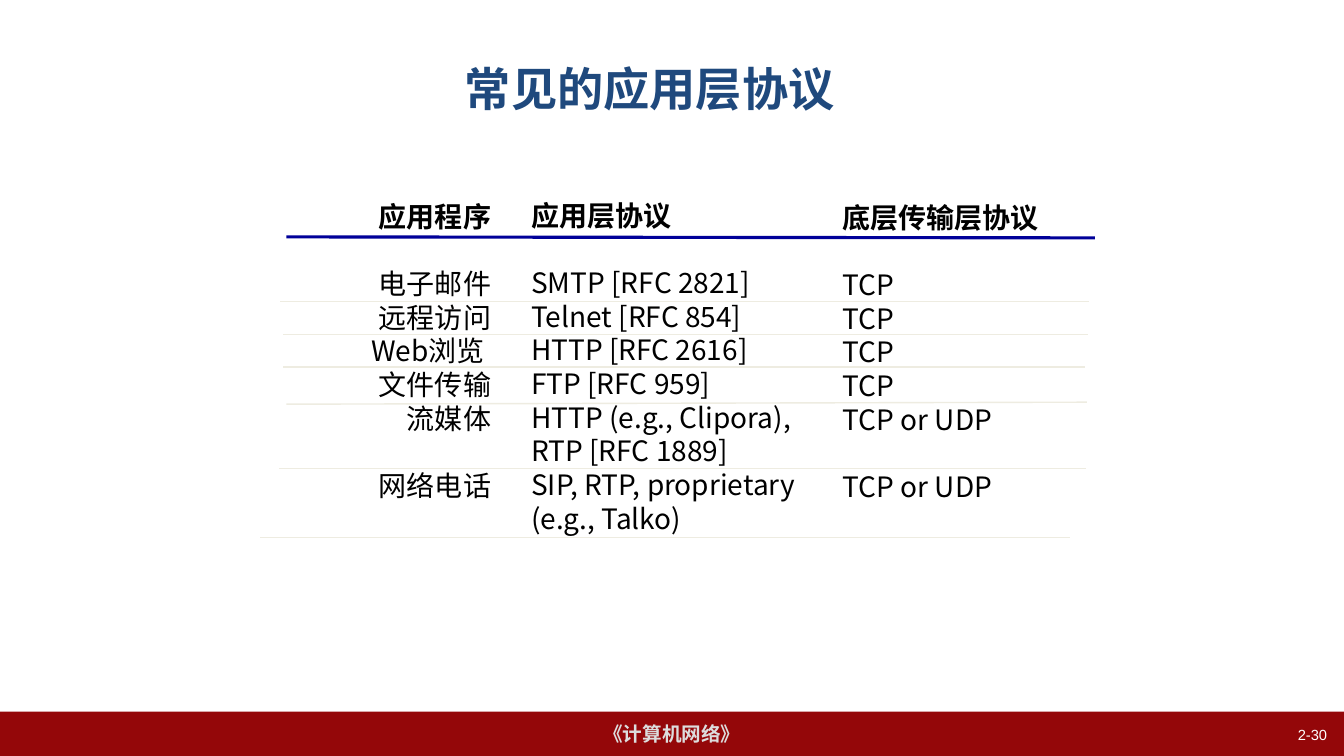
from lxml.etree import SubElement
from pptx import Presentation
from pptx.dml.color import RGBColor
from pptx.enum.shapes import MSO_CONNECTOR, MSO_SHAPE
from pptx.enum.text import MSO_ANCHOR, PP_ALIGN
from pptx.oxml.ns import qn
from pptx.util import Inches, Pt

WHITE = RGBColor(0xFF, 0xFF, 0xFF)
BLACK = RGBColor(0, 0, 0)
CRIMSON = RGBColor(0x94, 0x07, 0x09)
SILVER = RGBColor(0xDD, 0xDD, 0xDD)
TITLE_BLUE = RGBColor(0x1F, 0x49, 0x7D)
HEADER_BLUE = RGBColor(0, 0, 0x99)
IVORY = RGBColor(0xEE, 0xEC, 0xE1)
BODY_FONT = "Noto Sans CJK SC"
ROW_PITCH = Pt(24)

COLUMNS = [
    (3.51, 1.93, 1.46, 3.53, PP_ALIGN.RIGHT,
     ["应用程序", "电子邮件", "远程访问", "Web浏览 ", "文件传输", "流媒体", "网络电话"], [0, 5]),
    (5.17, 1.92, 3.11, 3.47, PP_ALIGN.LEFT,
     ["应用层协议", "SMTP [RFC 2821]", "Telnet [RFC 854]", "HTTP [RFC 2616]",
      "FTP [RFC 959]", "HTTP (e.g., Clipora), \vRTP [RFC 1889]",
      "SIP, RTP, proprietary", "(e.g., Talko)"], [0]),
    (8.26, 1.94, 2.87, 3.14, PP_ALIGN.LEFT,
     ["底层传输层协议", "TCP", "TCP", "TCP", "TCP", "TCP or UDP", "TCP or UDP"], [0, 5]),
]
ROW_RULES = [
    (2.78, 2.99, 10.8, 2.99),
    (2.81, 3.32, 10.79, 3.32),
    (2.81, 3.64, 10.76, 3.64),
    (2.84, 4.01, 10.78, 3.99),
    (2.77, 4.65, 10.77, 4.65),
    (2.58, 5.33, 10.61, 5.33),
]


class ProtocolSlide:
    def __init__(self, deck):
        self.slide = deck.slides.add_slide(deck.slide_layouts[5])
        self.shapes = self.slide.shapes

    def style(self, paragraph, align, size, color, bold=False, name="Arial"):
        paragraph.alignment = align
        for run in paragraph.runs:
            for key, value in {"size": Pt(size), "bold": bold, "name": name}.items():
                setattr(run.font, key, value)
            run.font.color.rgb = color
            if name == BODY_FONT:
                SubElement(run.font._element, qn("a:ea"), typeface=name)

    def title(self, text):
        heading = self.shapes.title
        box = {"left": 0.78, "top": 0.25, "width": 11.33, "height": 1.25}
        for key, value in box.items():
            setattr(heading, key, Inches(value))
        frame = heading.text_frame
        frame.text = text
        frame.vertical_anchor = MSO_ANCHOR.MIDDLE
        self.style(frame.paragraphs[0], PP_ALIGN.CENTER, 33, TITLE_BLUE, True)

    def band(self, text):
        footer = self.shapes.add_shape(
            MSO_SHAPE.RECTANGLE, 0, Inches(7.06), Inches(13.33), Inches(0.44))
        footer.shadow.inherit = False
        footer.fill.solid()
        footer.fill.fore_color.rgb = CRIMSON
        footer.line.fill.background()
        frame = footer.text_frame
        frame.text = text
        frame.vertical_anchor = MSO_ANCHOR.MIDDLE
        self.style(frame.paragraphs[0], PP_ALIGN.CENTER, 14, SILVER, True)

    def text_box(self, left, top, width, height, lines):
        frame = self.shapes.add_textbox(*map(Inches, (left, top, width, height))).text_frame
        frame.word_wrap = True
        frame.text = "\n".join(lines)
        return frame.paragraphs

    def page_number(self, text):
        number = self.text_box(10.15, 7.15, 3.11, 0.35, [text])[0]
        self.style(number, PP_ALIGN.RIGHT, 10.5, WHITE)

    def column(self, left, top, width, height, align, entries, gaps_after):
        for row, entry in enumerate(self.text_box(left, top, width, height, entries)):
            self.style(entry, align, 20, BLACK, row == 0, BODY_FONT)
            entry.line_spacing = ROW_PITCH
            entry.space_after = ROW_PITCH if row in gaps_after else Pt(0)

    def rule(self, ends, color, weight):
        rule = self.shapes.add_connector(MSO_CONNECTOR.STRAIGHT, *map(Inches, ends))
        rule.line.color.rgb = color
        rule.line.width = Pt(weight)
        SubElement(rule._element.spPr, qn("a:effectLst"))


def main():
    deck = Presentation()
    deck.slide_width, deck.slide_height = Inches(13.33), Inches(7.5)
    page = ProtocolSlide(deck)
    page.band("《计算机网络》")
    page.title("常见的应用层协议")
    page.page_number("2-30")
    for column in COLUMNS:
        page.column(*column)
    page.rule((2.84, 2.35, 10.86, 2.36), HEADER_BLUE, 2.25)
    for ends in ROW_RULES:
        page.rule(ends, IVORY, 1)
    deck.save("out.pptx")


if __name__ == "__main__":
    main()
